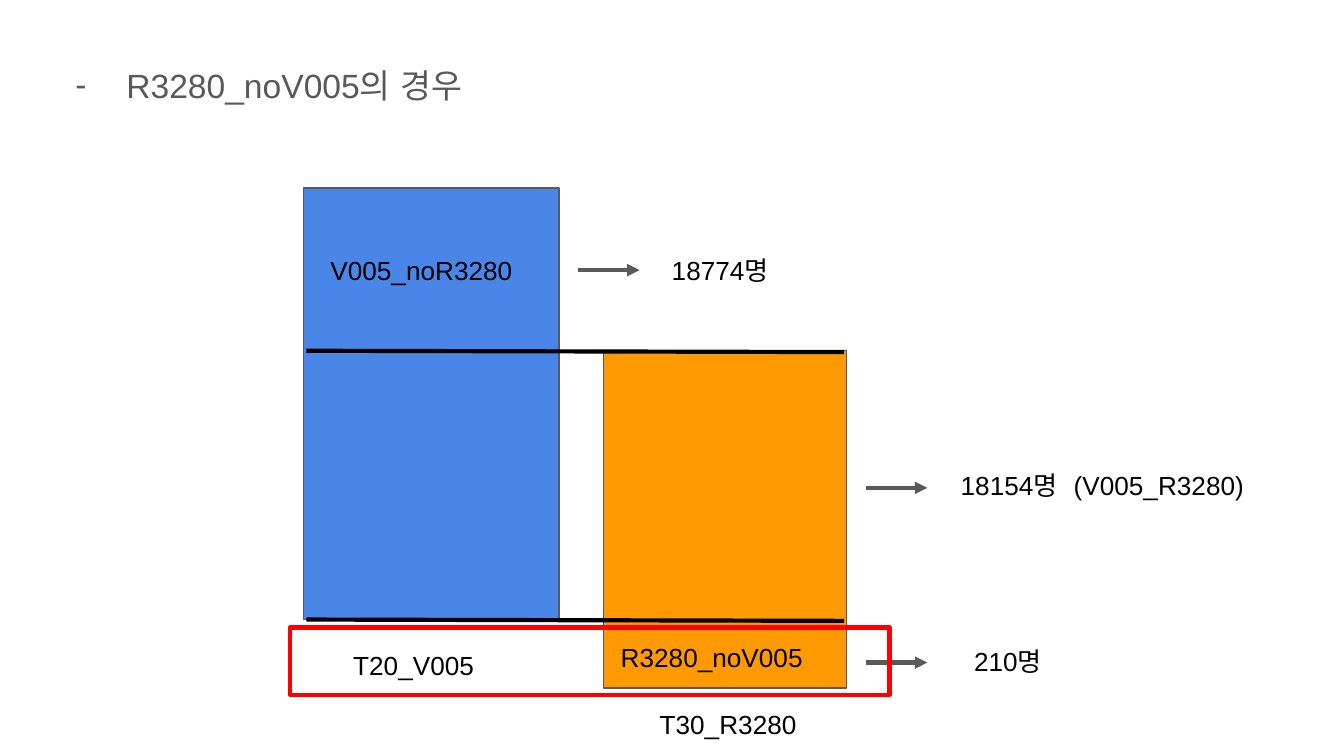
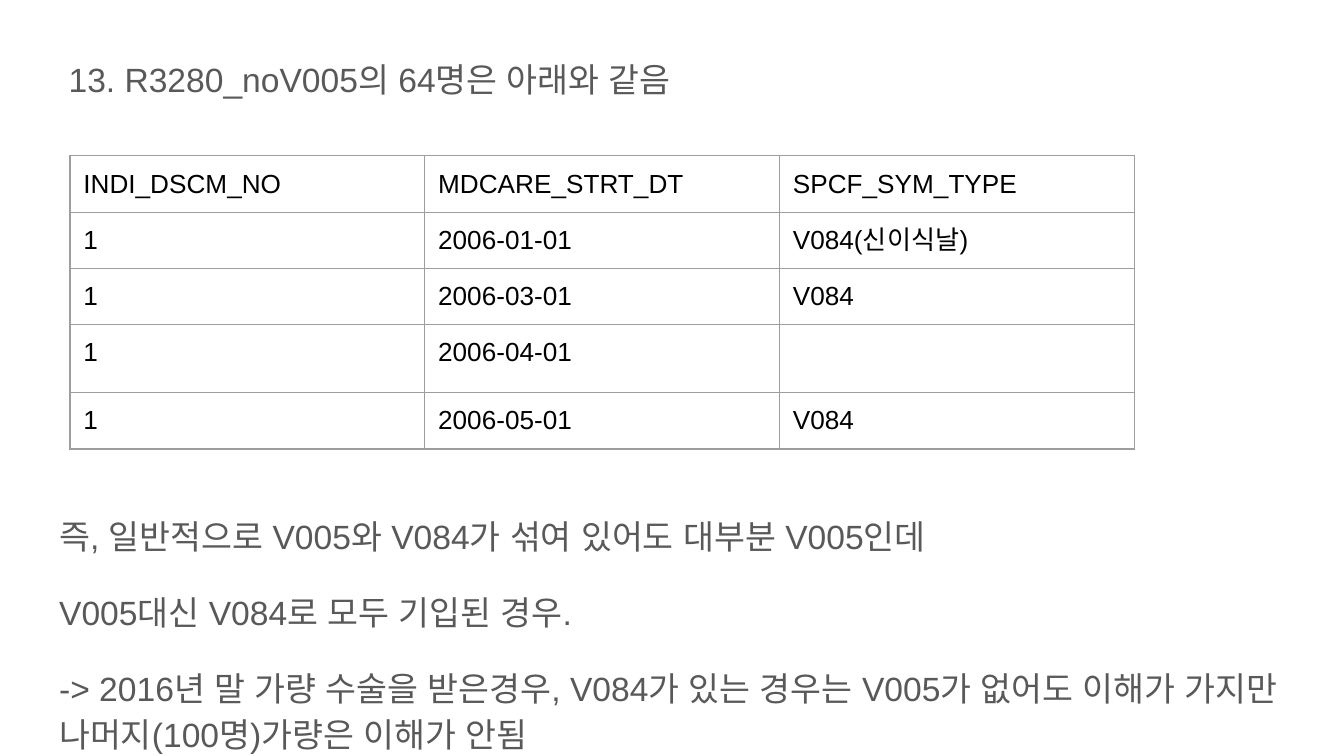
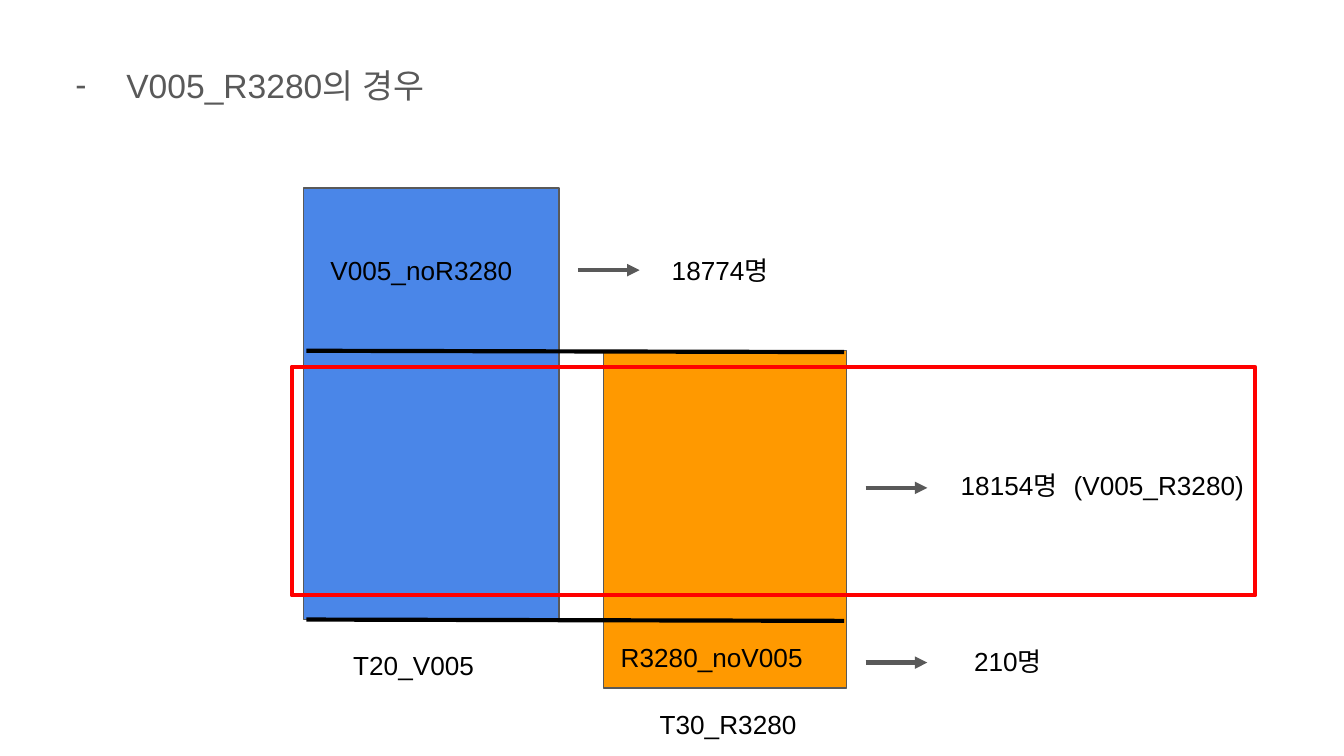
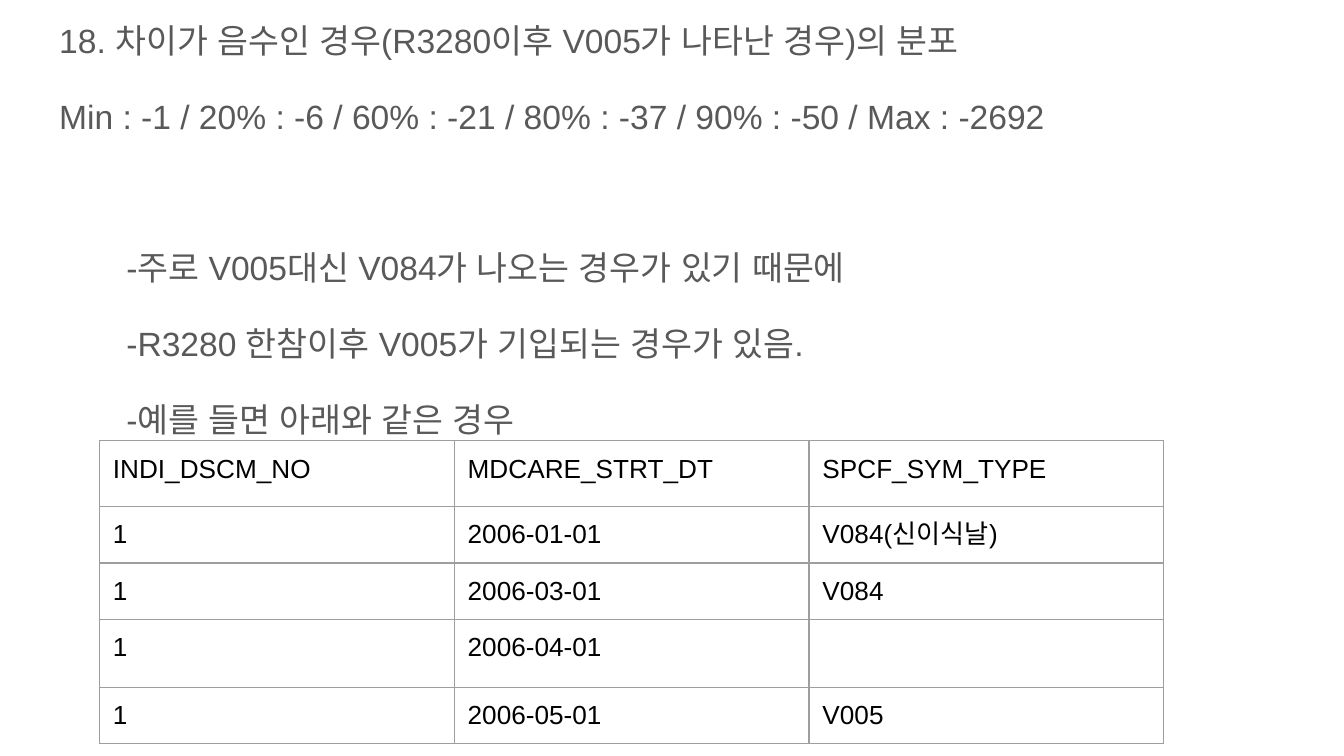
"""Build four slides comparing V005 and R3280 patient records."""
from lxml import etree
from pptx import Presentation
from pptx import util as u
from pptx.dml import color
from pptx.enum import shapes, text
from pptx.oxml import ns

C = {"grey": "595959", "black": "000000", "blue": "4A86E8",
     "orange": "FF9900", "red": "FF0000", "border": "9E9E9E"}
RGB = {k: color.RGBColor.from_string(v) for k, v in C.items()}
BODY = {"size": u.Pt(18), "name": "Arial"}
LABEL = {"size": u.Pt(14), "name": "Arial"}
INSETS = {f"margin_{side}": u.Inches(0.1) for side in ("left", "right", "top", "bottom")}

prs = Presentation()
prs.slide_width, prs.slide_height = u.Inches(10), u.Inches(5.625)
COLUMNS = 100
unit = prs.slide_width / COLUMNS


def grid(*cells):
    """Turn grid columns and rows into lengths."""
    return [u.Emu(round(c * unit)) for c in cells]


def write(p, content, formats, tint):
    """Add one formatted run to a paragraph."""
    r = p.add_run()
    r.text = content
    for name, value in formats.items():
        setattr(r.font, name, value)
    r.font.color.rgb = RGB[tint]
    etree.SubElement(r.font._element, ns.qn("a:ea"), typeface="Arial")


BARS = [("blue", (22.6, 14, 19, 32.1)), ("orange", (44.9, 26.1, 18.1, 25.1))]
LEVELS = [26.1, 46.1]
ARROWS = [(64.4, 36.3), (64.4, 49.3), (43, 20.1)]
ARROW_LENGTH = 4.6
LABELS = [
    ("T20_V005", (25.3, 47.3, 11.6, 3.9)),
    ("T30_R3280", (48.1, 51.7, 13.2, 3.9)),
    ("18154명", (70.5, 33.9, 19, 4.5)),
    ("210명", (71.5, 47, 19, 4.5)),
    ("18774명", (49, 17.9, 19, 4.5)),
    ("V005_noR3280", (23.6, 17.9, 19, 4.5)),
    ("R3280_noV005", (45.2, 46.7, 19, 4.5)),
    ("(V005_R3280)", (78.9, 33.9, 19, 4.5)),
]
HEADER = ("INDI_DSCM_NO", "MDCARE_STRT_DT", "SPCF_SYM_TYPE")
DATES = ("2006-01-01", "2006-03-01", "2006-04-01", "2006-05-01")
COLUMN_WIDTH, ROW_HEIGHT = 26.4, 4.16

SLIDES = [
    {"body": (3.4, 3.4, 93.2, 52.2), "bullet": True,
     "lines": [("R3280_noV005의 경우", 5, 0)],
     "frame": (21.6, 46.7, 44.6, 5)},
    {"body": (3.4, 2.9, 93.2, 54),
     "lines": [
         ("13. R3280_noV005의 64명은 아래와 같음", 0.7, 0),
         ("즉, 일반적으로 V005와 V084가 섞여 있어도 대부분 V005인데", 0, 220),
         ("V005대신 V084로 모두 기입된 경우.", 0, 16),
         ("-> 2016년 말 가량 수술을 받은경우, V084가 있는 경우는 V005가 없어도 "
          "이해가 가지만 나머지(100명)가량은 이해가 안됨", 0, 16)],
     "table": (5.2, 11.6), "header_height": ROW_HEIGHT,
     "symbols": ("V084(신이식날)", "V084", "", "V084")},
    {"body": (3.4, 3.4, 93.2, 52.2), "bullet": True,
     "lines": [("V005_R3280의 경우", 5, 0)],
     "frame": (21.7, 27.3, 71.7, 17)},
    {"body": (3.4, 0, 93.2, 54),
     "lines": [
         ("18. 차이가 음수인 경우(R3280이후 V005가 나타난 경우)의 분포", 0, 0),
         ("Min : -1 / 20% : -6 / 60% : -21 / 80% : -37 / 90% : -50 / Max : -2692", 0, 16),
         ("-주로 V005대신 V084가 나오는 경우가 있기 때문에", 5, 56),
         ("-R3280 한참이후 V005가 기입되는 경우가 있음.", 5, 16),
         ("-예를 들면 아래와 같은 경우", 5, 16)],
     "table": (7.4, 32.8), "header_height": 4.9,
     "symbols": ("V084(신이식날)", "V084", "", "V005")},
]

for page in SLIDES:
    s = prs.slides.add_slide(prs.slide_layouts[1])
    title, body = s.placeholders
    title._element.getparent().remove(title._element)
    body.left, body.top, body.width, body.height = grid(*page["body"])
    tf = body.text_frame
    for name, value in {**INSETS, "word_wrap": True, "auto_size": text.MSO_AUTO_SIZE.NONE,
                        "vertical_anchor": text.MSO_ANCHOR.TOP}.items():
        setattr(tf, name, value)
    for i, (content, margin, before) in enumerate(page["lines"]):
        p = tf.add_paragraph() if i else tf.paragraphs[0]
        pPr = p._p.get_or_add_pPr()
        hanging = -3.8 if page.get("bullet") else 0
        for name, value in zip(("marL", "indent"), grid(margin, hanging)):
            pPr.set(name, str(value))
        if page.get("bullet"):
            tint = etree.SubElement(pPr, ns.qn("a:buClr"))
            etree.SubElement(tint, ns.qn("a:srgbClr"), val=C["grey"])
            etree.SubElement(pPr, ns.qn("a:buFont"), typeface="Arial")
            etree.SubElement(pPr, ns.qn("a:buChar"), char="-")
        else:
            etree.SubElement(pPr, ns.qn("a:buNone"))
        p.line_spacing, p.space_before = 1.15, u.Pt(before)
        write(p, content, BODY, "grey")

    if "frame" in page:
        for fill, place in BARS:
            bar = s.shapes.add_shape(shapes.MSO_SHAPE.RECTANGLE, *grid(*place))
            bar.shadow.inherit = False
            bar.fill.solid()
            bar.fill.fore_color.rgb = RGB[fill]
            bar.line.color.rgb = RGB["grey"]
            bar.line.width = u.Pt(0.75)

        lines = [((62.8, y + 0.1, 22.8, y), "black") for y in LEVELS]
        lines += [((x, y, x + ARROW_LENGTH, y), "grey") for x, y in ARROWS]
        for ends, tint in lines:
            line = s.shapes.add_connector(shapes.MSO_CONNECTOR.STRAIGHT, *grid(*ends))
            line.line.color.rgb = RGB[tint]
            line.line.width = u.Pt(2.25)
            if tint == "grey":
                etree.SubElement(line.line._get_or_add_ln(), ns.qn("a:tailEnd"), type="triangle")
            etree.SubElement(line._element.spPr, ns.qn("a:effectLst"))

        for content, place in LABELS:
            tf = s.shapes.add_textbox(*grid(*place)).text_frame
            for name, value in {**INSETS, "word_wrap": True}.items():
                setattr(tf, name, value)
            write(tf.paragraphs[0], content, LABEL, "black")

        frame = s.shapes.add_shape(shapes.MSO_SHAPE.RECTANGLE, *grid(*page["frame"]))
        frame.shadow.inherit = False
        frame.fill.background()
        frame.line.color.rgb = RGB["red"]
        frame.line.width = u.Pt(2.25)

    if "table" in page:
        rows = [HEADER] + [("1", date, symbol) for date, symbol in zip(DATES, page["symbols"])]
        heights = [page["header_height"]] + [ROW_HEIGHT] * len(DATES)
        size = (COLUMN_WIDTH * len(HEADER), sum(heights))
        table = s.shapes.add_table(len(rows), len(HEADER), *grid(*page["table"], *size)).table
        table.first_row = table.horz_banding = False
        for column in table.columns:
            column.width = grid(COLUMN_WIDTH)[0]
        for row, height, values in zip(table.rows, heights, rows):
            row.height = grid(height)[0]
            for cell, value in zip(row.cells, values):
                for name, inset in INSETS.items():
                    setattr(cell, name, inset)
                tcPr = cell._tc.get_or_add_tcPr()
                for side in ("lnL", "lnR", "lnT", "lnB"):
                    edge = etree.SubElement(tcPr, ns.qn(f"a:{side}"), w=str(u.Pt(0.75)))
                    fill = etree.SubElement(edge, ns.qn("a:solidFill"))
                    etree.SubElement(fill, ns.qn("a:srgbClr"), val=C["border"])
                cell.fill.background()
                if value:
                    write(cell.text_frame.paragraphs[0], value, LABEL, "black")

prs.save("out.pptx")
